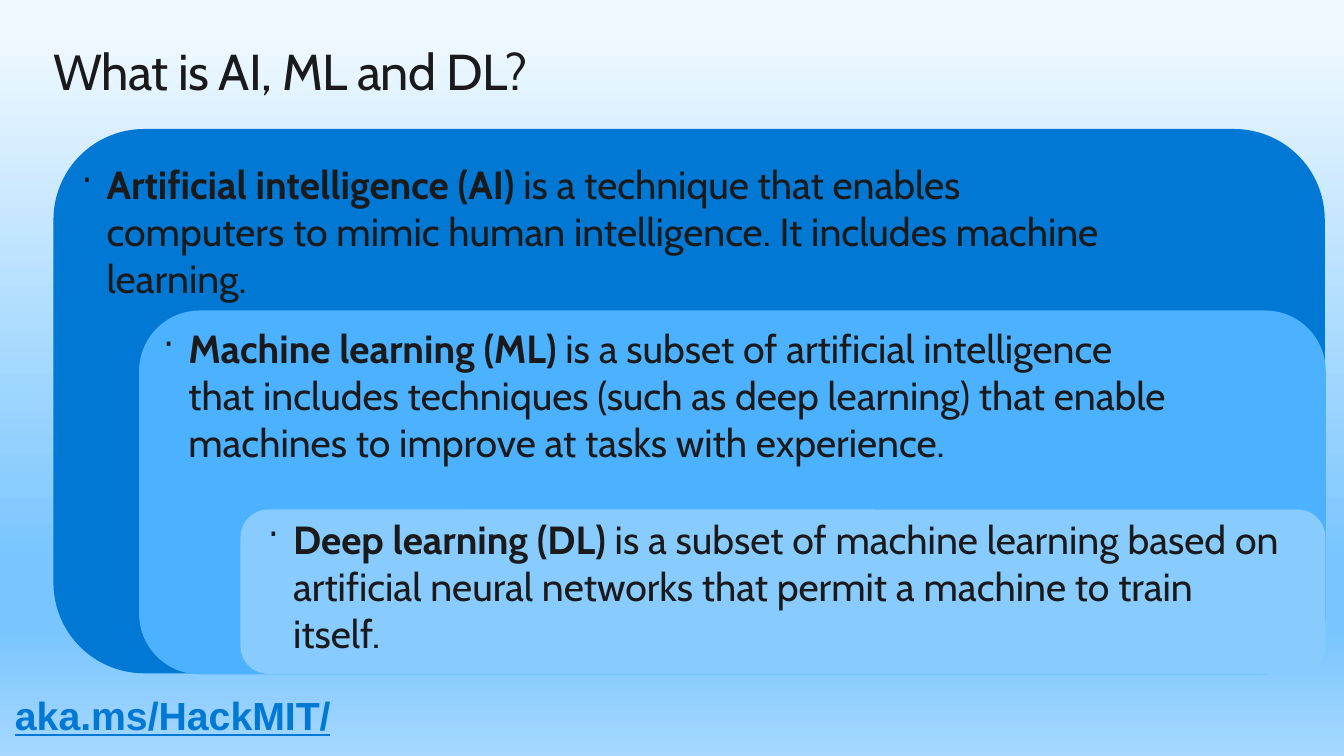
from lxml import etree
from pptx import Presentation
from pptx.dml.color import RGBColor
from pptx.enum.shapes import MSO_SHAPE
from pptx.oxml.ns import qn
from pptx.util import Inches, Pt

ROUNDED = MSO_SHAPE.ROUNDED_RECTANGLE
BLUE = RGBColor(0x00, 0x78, 0xD4)
MID_BLUE = RGBColor(0x4C, 0xB1, 0xFF)
LIGHT_BLUE = RGBColor(0x88, 0xCB, 0xFF)
DARK = RGBColor(0x1A, 0x1A, 0x1A)
SKY_STOPS = [
    (4, RGBColor(0xF0, 0xF9, 0xFF)),
    (74, RGBColor(0x79, 0xC5, 0xFF)),
    (83, RGBColor(0x79, 0xC5, 0xFF)),
    (100, RGBColor(0xA6, 0xD8, 0xFF)),
]

LAYERS = [
    ((0.53, 1.28, 12.61, 5.4), BLUE, (0.71, 1.54), "Artificial intelligence (AI)",
     " is a technique that enables computers to mimic human intelligence. "
     "It includes machine learning."),
    ((1.38, 3.08, 11.77, 3.61), MID_BLUE, (1.52, 3.17), "Machine learning (ML)",
     " is a subset of artificial intelligence that includes techniques "
     "(such as deep learning) that enable machines to improve at tasks with experience."),
    ((2.39, 5.06, 10.75, 1.62), LIGHT_BLUE, (2.56, 5.06), "Deep learning (DL)",
     " is a subset of machine learning based on artificial neural networks "
     "that permit a machine to train itself."),
]


def add_text_frame(left, top, width, height):
    box = slide.shapes.add_textbox(Inches(left), Inches(top), Inches(width), Inches(height))
    box.text_frame.word_wrap = True
    return box.text_frame


def add_run(paragraph, text, color, **font_format):
    run = paragraph.add_run()
    run.text = text
    run.font.color.rgb = color
    for name, value in font_format.items():
        setattr(run.font, name, value)
    return run


presentation = Presentation()
presentation.slide_width = Inches(13.33)
presentation.slide_height = Inches(7.5)
slide = presentation.slides.add_slide(presentation.slide_layouts[6])

sky = slide.background.fill
sky.gradient()
sky.gradient_angle = 270
stop_list = slide.element.find(".//" + qn("a:gsLst"))
for stop in list(stop_list):
    stop_list.remove(stop)
for position, color in SKY_STOPS:
    stop = etree.SubElement(stop_list, qn("a:gs"), pos=str(position * 1000))
    etree.SubElement(stop, qn("a:srgbClr"), val=str(color))

title_frame = add_text_frame(0.53, 0.4, 12.05, 0.61)
for side in ("left", "top", "right", "bottom"):
    setattr(title_frame, f"margin_{side}", 0)
title = add_run(title_frame.paragraphs[0], "What is AI, ML and DL?", DARK,
                size=Pt(36), name="Cabin")
title.font._element.set("spc", "-50")

for bounds, color, (text_left, text_top), term, definition in LAYERS:
    layer = slide.shapes.add_shape(ROUNDED, *map(Inches, bounds))
    layer.shadow.inherit = False
    layer.fill.solid()
    layer.fill.fore_color.rgb = color
    if color == LIGHT_BLUE:
        layer.line.color.rgb = color
        layer.line.width = Pt(0.75)
    else:
        layer.line.fill.background()

    paragraph = add_text_frame(text_left, text_top, 10.3, 1.41).paragraphs[0]
    properties = paragraph._p.get_or_add_pPr()
    properties.set("marL", str(Inches(0.25)))
    properties.set("indent", str(-Inches(0.25)))
    etree.SubElement(properties, qn("a:buSzPct"), val="90000")
    etree.SubElement(properties, qn("a:buChar"), char="·")
    add_run(paragraph, term, DARK, size=Pt(28), name="Cabin", bold=True)
    add_run(paragraph, definition, DARK, size=Pt(28), name="Cabin", bold=False)

address_frame = add_text_frame(0.05, 6.81, 4.88, 0.57)
add_run(address_frame.paragraphs[0], "aka.ms/HackMIT/", BLUE,
        size=Pt(28), name="Arial", bold=True, underline=True)

presentation.save("out.pptx")
